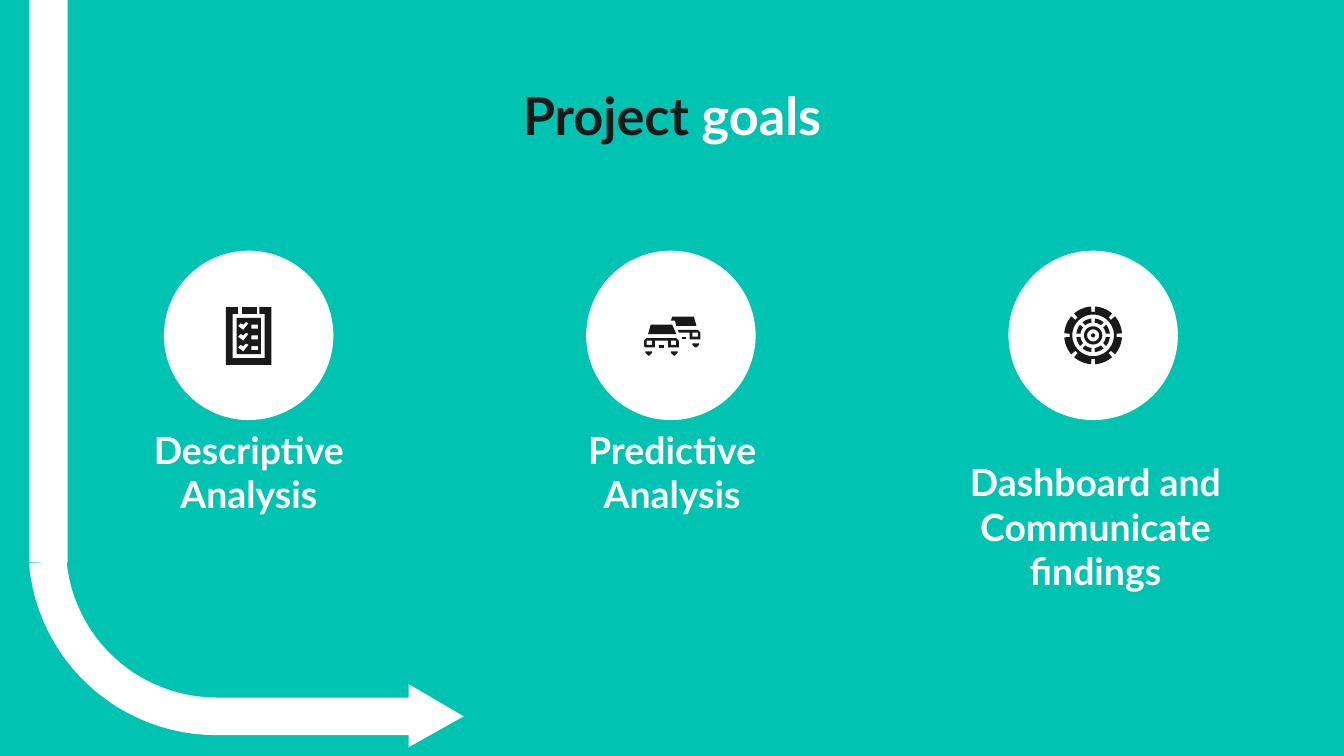
from math import cos, radians, sin

from pptx import Presentation
from pptx.dml.color import RGBColor
from pptx.enum.shapes import MSO_SHAPE
from pptx.enum.text import MSO_ANCHOR, MSO_AUTO_SIZE, PP_ALIGN
from pptx.util import Cm, Pt

TEAL, WHITE, DARK = "00C3B1", "FFFFFF", "191919"
GRID = 0.0254  # cm per drawing unit in the outlines


def color(text):
    return RGBColor.from_string(text)


def box(x, y, w, h):
    return [(x, y), (x + w, y), (x + w, y + h), (x, y + h)]


def shift(pts, dx, dy):
    return [(x + dx, y + dy) for x, y in pts]


def arc(r, start, end, steps=12):
    """Points on a circle around 0, 0; angles run clockwise from the right."""
    turns = [radians(start + (end - start) * i / steps) for i in range(steps + 1)]
    return [(r * cos(t), r * sin(t)) for t in turns]


class Deck:
    font = "Lato"

    def __init__(self):
        self.prs = Presentation()
        self.prs.slide_width, self.prs.slide_height = Cm(25.4), Cm(14.29)
        self.slide = self.prs.slides.add_slide(self.prs.slide_layouts[5])
        fill = self.slide.background.fill
        fill.solid()
        fill.fore_color.rgb = color(TEAL)

    def paint(self, shape, tone):
        shape.shadow.inherit = False
        shape.fill.solid()
        shape.fill.fore_color.rgb = color(tone)
        shape.line.fill.background()

    def shape(self, kind, x, y, w, h, tone):
        item = self.slide.shapes.add_shape(kind, Cm(x), Cm(y), Cm(w), Cm(h))
        self.paint(item, tone)
        return item

    def disc(self, x, y, d):
        item = self.shape(MSO_SHAPE.OVAL, x - d / 2, y - d / 2, d, d, WHITE)
        item.line.color.rgb = color(WHITE)
        item.line.width = Pt(1.5)

    def outline(self, x, y, loops, tone):
        """One filled shape; every loop after the first cuts a hole."""
        loops = [[(Cm(x + a * GRID), Cm(y + b * GRID)) for a, b in loop]
                 for loop in loops]
        pen = self.slide.shapes.build_freeform(*loops[0][0])
        for n, loop in enumerate(loops):
            if n:
                pen.move_to(*loop[0])
            pen.add_line_segments(loop[1:], close=True)
        self.paint(pen.convert_to_shape(), tone)

    def letter(self, item, runs, size):
        frame = item.text_frame
        frame.word_wrap = True
        frame.auto_size = MSO_AUTO_SIZE.NONE
        frame.vertical_anchor = MSO_ANCHOR.MIDDLE
        frame.margin_left = frame.margin_right = Cm(0.25)
        frame.margin_top = frame.margin_bottom = Cm(0.25)
        para = frame.paragraphs[0]
        para.alignment = PP_ALIGN.CENTER
        para.font.name, para.font.size, para.font.bold = self.font, Pt(size), True
        for text, tone in runs:
            run = para.add_run()
            run.text = text
            run.font.color.rgb = color(tone)

    def title(self, x, y, w, h, runs):
        item = self.slide.shapes.title
        item.left, item.top, item.width, item.height = Cm(x), Cm(y), Cm(w), Cm(h)
        self.letter(item, runs, 28)

    def label(self, x, y, w, h, text):
        item = self.slide.shapes.add_textbox(Cm(x), Cm(y), Cm(w), Cm(h))
        self.letter(item, [(text, WHITE)], 20)


def list_icon():
    tick = [(-2, -10), (0, -9), (-4, -4), (-8, -7), (-6, -9), (-4, -8)]
    page = [box(-9, -13, 18, 27)]
    for dy in (0, 8, 16):
        page += [shift(tick, 0, dy), box(2, dy - 8, 5, 3)]
    board = [(-17, -21), (-17, 22), (17, 22), (17, -21), (8, -21), (8, -16),
             (12, -16), (12, 17), (-12, 17), (-12, -16), (-8, -16), (-8, -21)]
    return [page, [board], [box(-5, -21, 11, 5)]]


def car_icon():
    wheel = [(0, 0), (0, 1), (1, 2), (2, 3), (3, 3), (4, 2), (5, 1), (5, 0)]
    front = [(-18, 2), (-20, 4), (-20, 8), (-19, 9), (-12, 9), (-12, 4),
             (-2, 4), (-2, 9), (6, 9), (6, 4), (4, 2)]
    rear = [(5, -4), (6, -2), (14, -2), (14, 3), (22, 3), (22, -2), (20, -4)]
    roofs = [[(1, -14), (0, -11), (3, -11), (4, -7), (19, -7), (17, -14)],
             [(-15, -8), (-17, -1), (4, -1), (1, -8)]]
    spots = [(-19, 12), (0, 12), (16, 6)]
    return ([[roof] for roof in roofs]
            + [[front, box(-18, 4, 4, 3), box(0, 4, 4, 3)],
               [rear, box(16, -2, 4, 3)],
               [box(-9, 7, 4, 2)], [box(8, 1, 3, 2)]]
            + [[shift(wheel, *spot)] for spot in spots])


def tyre_icon():
    turns = range(0, 360, 45)
    tread = []
    for a in turns:
        tread += arc(21.5, a + 4, a + 41) + arc(17.5, a + 41, a + 49, 2)
    spokes = [[arc(12.5, a + 6, a + 39) + arc(9.5, a + 38, a + 7)] for a in turns]
    return [[tread, arc(15.5, 0, 360, 48)], *spokes,
            [arc(6.8, 0, 360, 36), arc(4.5, 0, 360, 36)],
            [arc(1.5, 0, 360, 24)]]


def main():
    deck = Deck()

    # Road arrow: straight part, then bend and head
    deck.shape(MSO_SHAPE.RECTANGLE, 0.55, 0, 0.73, 10.63, WHITE)
    head = [(143, 112), (143, 102), (184, 126), (143, 149), (143, 140)]
    bend = arc(112, 175, 90, 24) + head + arc(140, 90, 175, 24)
    deck.outline(4.09, 10.34, [bend], WHITE)

    # Title
    deck.title(2, 1.5, 21.4, 1.32, [("Project", DARK), (" goals", WHITE)])

    # Goals: disc, icon and label
    goals = [("Descriptive Analysis", 1.47, list_icon()),
             ("Predictive Analysis", 1.47, car_icon()),
             ("Dashboard and Communicate findings", 3.53, tyre_icon())]
    for n, (text, high, icon) in enumerate(goals):
        x, y = 4.7 + 7.98 * n, 6.34
        deck.disc(x, y, 3.15)
        for loops in icon:
            deck.outline(x, y, loops, DARK)
        deck.label(2 + 8 * n, 8.18, 5.41, high, text)

    deck.prs.save("out.pptx")


if __name__ == "__main__":
    main()
